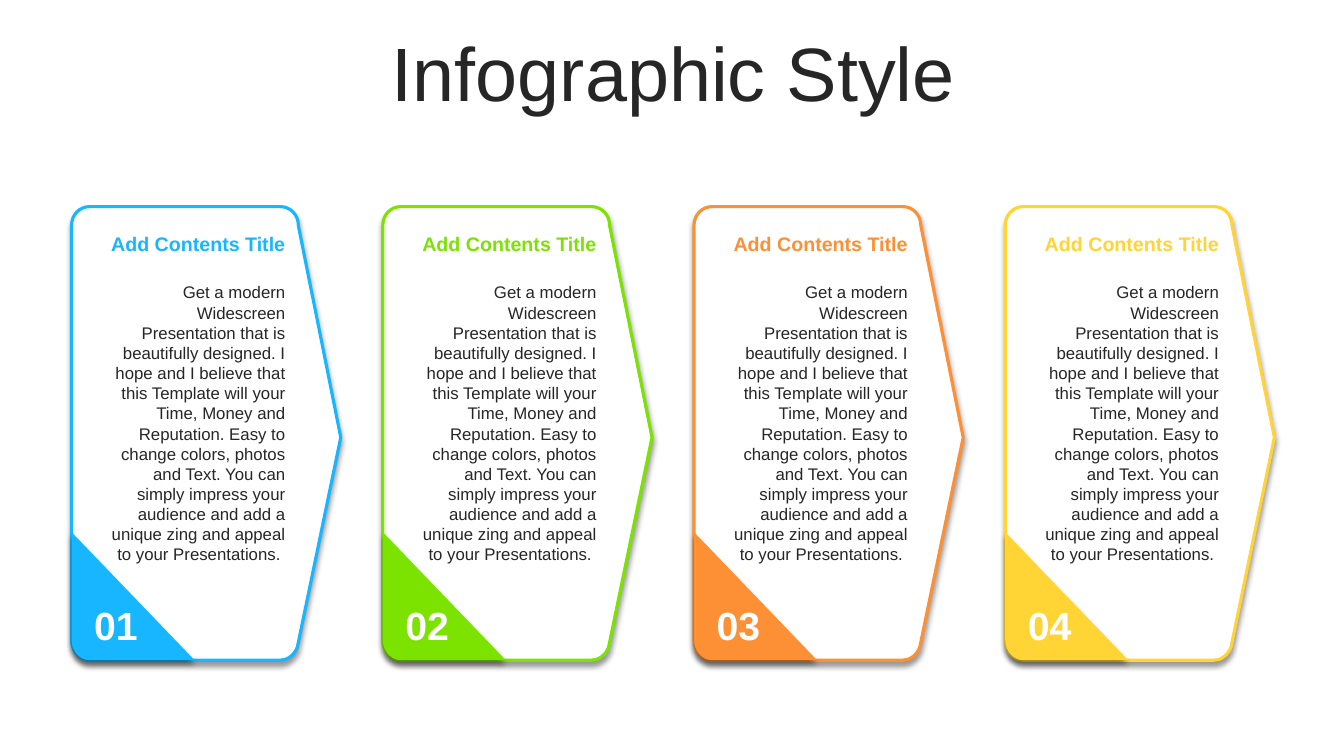
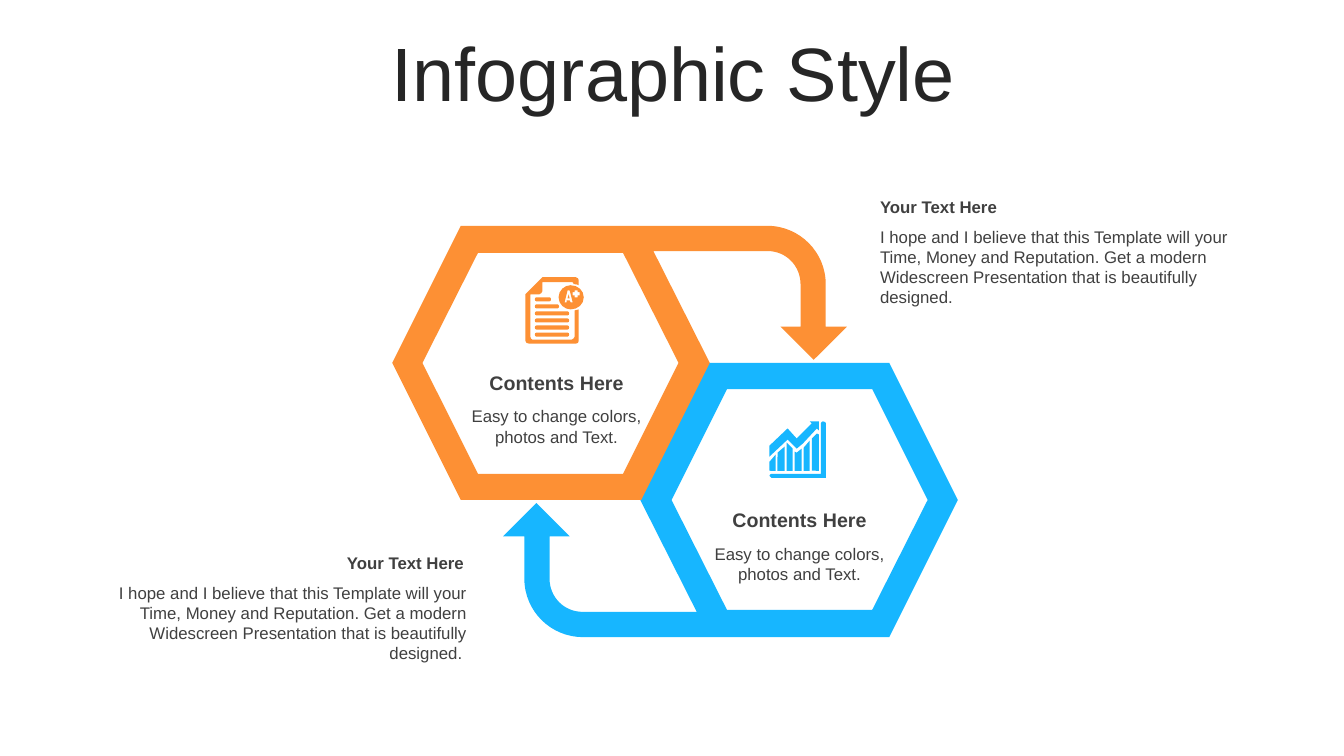
from math import sqrt

from lxml import etree
from pptx import Presentation
from pptx.dml.color import RGBColor
from pptx.enum.text import MSO_ANCHOR, MSO_AUTO_SIZE, PP_ALIGN
from pptx.oxml import parse_xml
from pptx.oxml.ns import nsdecls, qn
from pptx.util import Inches, Pt

LEFT, CENTER, RIGHT = PP_ALIGN.LEFT, PP_ALIGN.CENTER, PP_ALIGN.RIGHT
TOP, MIDDLE = MSO_ANCHOR.TOP, MSO_ANCHOR.MIDDLE

# Shared look
COLORS = {
    "blue": "17B6FF", "green": "7CE200", "orange": "FD9034", "yellow": "FFD434",
    "white": "FFFFFF", "dark": "262626", "gray": "404040",
}
FORMATS = {
    "title": {"name": "Arial", "size": Pt(54), "bold": False},
    "number": {"name": "Arial", "size": Pt(28), "bold": True},
    "heading": {"name": "Arial", "size": Pt(14), "bold": True},
    "label": {"name": "Arial", "size": Pt(12), "bold": True},
    "body": {"name": "Arial", "size": Pt(12), "bold": False},
}
TITLE_BOX = (0.35, 0.37, 12.66, 0.79)

# Wording
TITLE = "Infographic Style"
CARD_TEXT = (
    "Get a modern Widescreen Presentation that is beautifully designed. "
    "I hope and I believe that this Template will your Time, Money and Reputation. "
    "Easy to change colors, photos and Text. You can simply impress your audience "
    "and add a unique zing and appeal to your Presentations. "
)
SIDE_TEXT = (
    "I hope and I believe that this Template will your Time, Money and Reputation. "
    "Get a modern Widescreen Presentation that is beautifully designed. "
)
HEXAGON_TEXT = "Easy to change colors, photos and Text."

# Outlines in inches: two numbers are a line end, six are a Bezier curve
CARD = [[
    (0.18, 0), (2.07, 0), (2.17, 0, 2.25, 0.08, 2.25, 0.19), (2.67, 2.29),
    (2.24, 4.37), (2.21, 4.45, 2.14, 4.5, 2.07, 4.5), (0.18, 4.5),
    (0.08, 4.5, 0, 4.41, 0, 4.3), (0, 0.19), (0, 0.08, 0.08, 0, 0.18, 0),
]]
CARD_CORNER = [[
    (0, 3.23), (1.22, 4.5), (0.18, 4.5), (0.08, 4.5, 0, 4.41, 0, 4.3),
]]
HEXAGON_ARROW = [
    [(0.85, 0.27), (0.3, 1.36), (0.85, 2.46), (2.29, 2.46), (2.84, 1.36),
     (2.29, 0.27)],
    [(0.68, 0), (3.72, 0), (4.04, 0, 4.3, 0.26, 4.3, 0.58), (4.3, 1), (4.51, 1),
     (4.18, 1.33), (3.85, 1), (4.05, 1), (4.05, 0.58),
     (4.05, 0.4, 3.91, 0.25, 3.72, 0.25), (2.59, 0.25), (3.15, 1.36),
     (2.47, 2.72), (0.68, 2.72), (0, 1.36)],
]
BAR_TOPS = [
    [(0, 0.4), (0.06, 0.33)],
    [(0.08, 0.31), (0.15, 0.25)],
    [(0.17, 0.21), (0.23, 0.27)],
    [(0.25, 0.3), (0.27, 0.31), (0.32, 0.27)],
    [(0.34, 0.26), (0.4, 0.19)],
    [(0.42, 0.17), (0.47, 0.12), (0.49, 0.13)],
]
TREND_ARROW = [
    (0.49, 0), (0.49, 0.09), (0.47, 0.07), (0.33, 0.22), (0.27, 0.27), (0.18, 0.18),
    (0, 0.35), (0, 0.24), (0.18, 0.07), (0.27, 0.17), (0.42, 0.02), (0.4, 0),
]
CHART_AXES = [
    (0.53, 0), (0.55, 0, 0.56, 0.01, 0.56, 0.02), (0.56, 0.56), (0.02, 0.56),
    (0.01, 0.56, 0, 0.55, 0, 0.54), (0, 0.53, 0.01, 0.52, 0.02, 0.52),
    (0.51, 0.52), (0.51, 0.02), (0.51, 0.01, 0.52, 0, 0.53, 0),
]
PAGE = [
    (0.17, 0), (0.5, 0), (0.52, 0, 0.53, 0.02, 0.53, 0.03), (0.53, 0.08),
    (0.52, 0.07, 0.5, 0.07, 0.48, 0.07), (0.48, 0.05, 0.47, 0.05, 0.46, 0.05),
    (0.17, 0.05), (0.17, 0.14), (0.17, 0.15, 0.15, 0.17, 0.14, 0.17),
    (0.05, 0.17), (0.05, 0.59), (0.05, 0.6, 0.06, 0.62, 0.07, 0.62),
    (0.46, 0.62), (0.47, 0.62, 0.49, 0.6, 0.49, 0.59), (0.49, 0.33),
    (0.5, 0.33, 0.52, 0.32, 0.53, 0.32), (0.53, 0.63),
    (0.53, 0.65, 0.52, 0.66, 0.5, 0.66), (0.04, 0.66),
    (0.02, 0.66, 0, 0.65, 0, 0.63), (0, 0.17),
]
GRADE_BADGE = [
    [(0.45, 0.08), (0.52, 0.08, 0.58, 0.13, 0.58, 0.2),
     (0.58, 0.27, 0.52, 0.32, 0.45, 0.32), (0.39, 0.32, 0.33, 0.27, 0.33, 0.2),
     (0.33, 0.13, 0.39, 0.08, 0.45, 0.08)],
    [(0.42, 0.13), (0.39, 0.25), (0.41, 0.25), (0.41, 0.23), (0.44, 0.23),
     (0.45, 0.25), (0.47, 0.25), (0.44, 0.13)],
    [(0.43, 0.17), (0.44, 0.21), (0.42, 0.21)],
    [(0.49, 0.13), (0.49, 0.15), (0.47, 0.15), (0.47, 0.18), (0.49, 0.18),
     (0.49, 0.2), (0.52, 0.2), (0.52, 0.18), (0.54, 0.18), (0.54, 0.15),
     (0.52, 0.15), (0.52, 0.13)],
]


def rgb(color):
    return RGBColor.from_string(COLORS[color])


def fill_text(tf, text, style, color, align, anchor):
    tf.word_wrap = True
    tf.auto_size = MSO_AUTO_SIZE.NONE
    tf.vertical_anchor = anchor
    p = tf.paragraphs[0]
    p.alignment = align
    r = p.add_run()
    r.text = text
    for name, value in FORMATS[style].items():
        setattr(r.font, name, value)
    r.font.color.rgb = rgb(color)
    return p


def add_text(slide, box, text, style, color, align=LEFT, anchor=TOP, inset=0.05):
    tf = slide.shapes.add_textbox(*map(Inches, box)).text_frame
    tf.margin_top = tf.margin_bottom = Inches(inset)
    fill_text(tf, text, style, color, align, anchor)


def pairs(segment):
    return list(zip(segment[::2], segment[1::2]))


def bend_lines(s, outlines):
    """Turn the line segments that stand for curves into real Bezier curves."""
    ends = [segment[-2:] for outline in outlines for segment in outline]
    x0, y0 = min(x for x, _ in ends), min(y for _, y in ends)
    segments = [segment for outline in outlines for segment in outline[1:]]
    for line, segment in zip(list(s._element.iter(qn("a:lnTo"))), segments):
        if len(segment) == 6:
            curve = etree.Element(qn("a:cubicBezTo"))
            for x, y in pairs(segment):
                etree.SubElement(curve, qn("a:pt"), x=str(round((x - x0) * 1000)),
                                 y=str(round((y - y0) * 1000)))
            line.getparent().replace(line, curve)


def add_outline(slide, left, top, outlines, fill, line=None, shadow=False):
    # Points are given to the builder in thousandths of an inch
    contours = [[(x * 1000, y * 1000) for *_, x, y in outline] for outline in outlines]
    builder = slide.shapes.build_freeform(*contours[0][0], scale=914.4)
    for i, points in enumerate(contours):
        if i:
            builder.move_to(*points[0])
        builder.add_line_segments(points[1:], close=True)
    s = builder.convert_to_shape(Inches(left), Inches(top))
    bend_lines(s, outlines)
    s.fill.solid()
    s.fill.fore_color.rgb = rgb(fill)
    if line:
        s.line.color.rgb = rgb(line)
        s.line.width = Pt(2.25)
    else:
        s.line.fill.background()
    s.shadow.inherit = False
    if shadow:
        add_shadow(s)
    return s


def add_shadow(s):
    effects = s._element.spPr.find(qn("a:effectLst"))
    effects.append(parse_xml(
        f'<a:outerShdw {nsdecls("a")} blurRad="{Pt(4)}" dist="{Pt(3)}" dir="5400000" '
        'algn="t" rotWithShape="0"><a:srgbClr val="000000"><a:alpha val="40000"/>'
        '</a:srgbClr></a:outerShdw>'))


def place_title(layout):
    title = layout.placeholders[0]
    title.left, title.top, title.width, title.height = map(Inches, TITLE_BOX)


def add_slide(prs, layout):
    slide = prs.slides.add_slide(layout)
    p = fill_text(slide.shapes.title.text_frame, TITLE, "title", "dark", CENTER, MIDDLE)
    p.line_spacing = 0.9
    return slide


def add_card(slide, left, number, color):
    top = 2.05
    add_outline(slide, left, top, CARD, "white", line=color, shadow=True)
    add_outline(slide, left, top, CARD_CORNER, color, shadow=True)
    add_text(slide, (left + 0.21, 2.75, 2.01, 2.93), CARD_TEXT, "body", "dark", RIGHT)
    add_text(slide, (left + 0.21, 2.25, 2.01, 0.34), "Add Contents Title",
             "heading", color, RIGHT)
    add_text(slide, (left, 5.96, 0.88, 0.47), f"{number:02}", "number", "white",
             CENTER, MIDDLE, inset=0)


def add_side_text(slide, left, top, align, label_width, width):
    add_text(slide, (left, top, label_width, 0.3), "Your Text Here", "label", "gray", align)
    add_text(slide, (left, top + 0.3, width, 0.91), SIDE_TEXT.strip() if align == LEFT
             else SIDE_TEXT, "body", "gray", align)


def add_hexagon_text(slide, left, top):
    add_text(slide, (left, top, 1.98, 0.33), "Contents Here", "heading", "gray", CENTER)
    add_text(slide, (left, top + 0.35, 1.98, 0.51), HEXAGON_TEXT, "body", "gray", CENTER)


def text_line(top, right, left=0.09, height=0.04):
    """A bar with round ends for the page icon."""
    bottom, r = top + height, height / 2
    return [
        (left + r, top), (right - r, top),
        (right, top, right, bottom, right - r, bottom), (left + r, bottom),
        (left, bottom, left, top, left + r, top),
    ]


def add_page_icon(slide, left, top, color):
    ends = [0.26, 0.34, 0.44, 0.44, 0.44, 0.44]
    lines = [text_line(0.2 + 0.07 * i, right) for i, right in enumerate(ends)]
    add_outline(slide, left, top, [PAGE, *lines, *GRADE_BADGE], color)


def turn(segment):
    """Turn points by 45 degrees clockwise."""
    return tuple(v / sqrt(2) for x, y in pairs(segment) for v in (x - y, x + y))


def add_chart_icon(slide, left, top, color):
    base = 0.49
    bars = [[(tops[0][0], base), *tops, (tops[-1][0], base)] for tops in BAR_TOPS]
    outlines = [[turn(segment) for segment in outline]
                for outline in [*bars, TREND_ARROW, CHART_AXES]]
    s = add_outline(slide, left, top, outlines, color)
    s.left, s.top, s.rotation = Inches(left), Inches(top), 315


def main():
    prs = Presentation()
    prs.slide_width, prs.slide_height = Inches(13.33), Inches(7.5)
    layout = prs.slide_layouts[5]
    place_title(layout)

    # Four numbered cards
    slide = add_slide(prs, layout)
    for i, color in enumerate(["blue", "green", "orange", "yellow"]):
        add_card(slide, 0.71 + 9.26 * i / 3, i + 1, color)

    # Two hexagons whose arrows point at each other
    slide = add_slide(prs, layout)
    add_outline(slide, 4.99, 3.6, HEXAGON_ARROW, "blue").rotation = 180
    add_outline(slide, 3.89, 2.24, HEXAGON_ARROW, "orange")
    add_side_text(slide, 8.63, 1.9, LEFT, 3.92, 3.92)
    add_side_text(slide, 0.74, 5.43, RIGHT, 3.96, 3.99)
    add_hexagon_text(slide, 4.53, 3.63)
    add_hexagon_text(slide, 6.94, 4.99)
    add_chart_icon(slide, 7.59, 4.21, "blue")
    add_page_icon(slide, 5.21, 2.75, "orange")

    prs.save("out.pptx")


if __name__ == "__main__":
    main()
